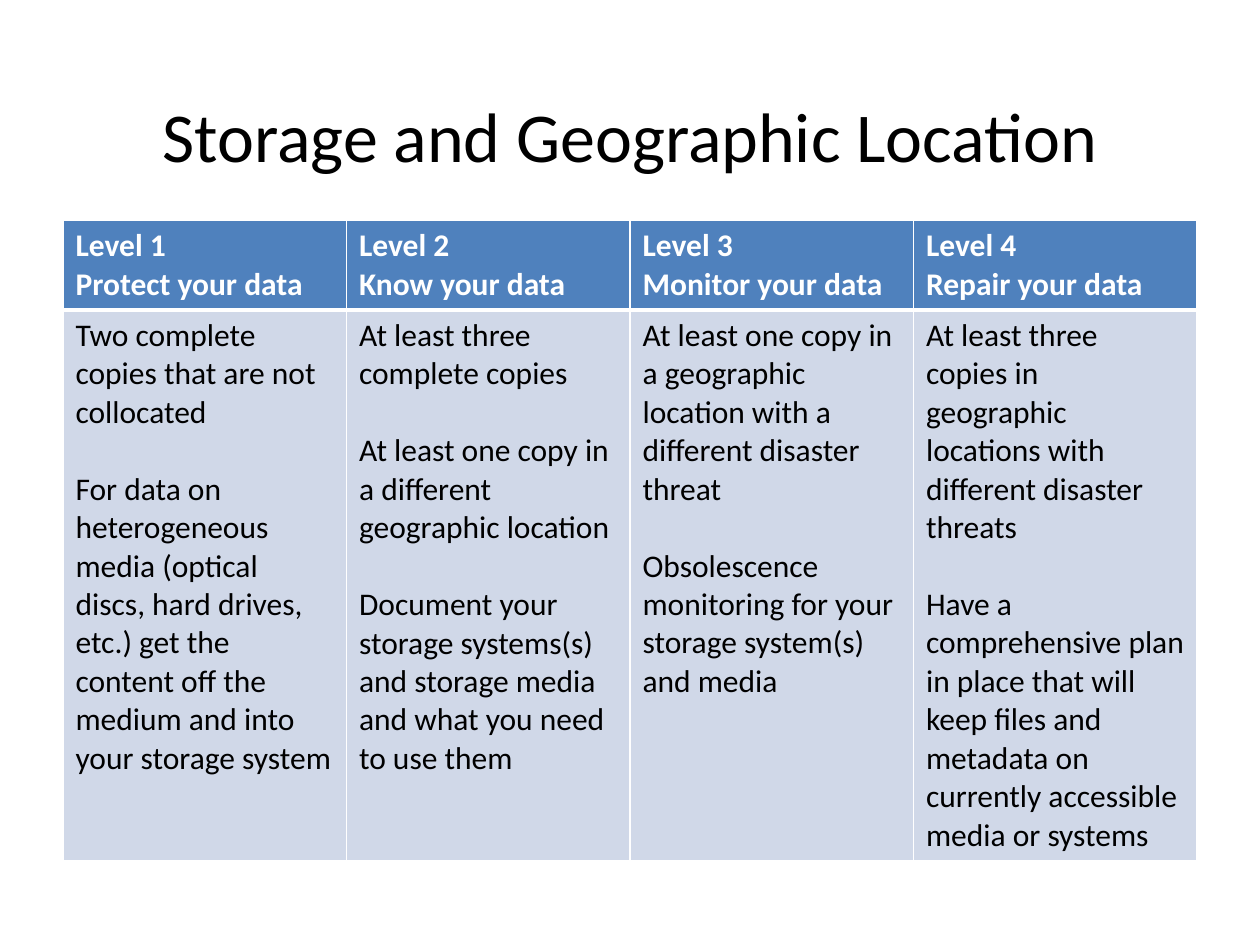
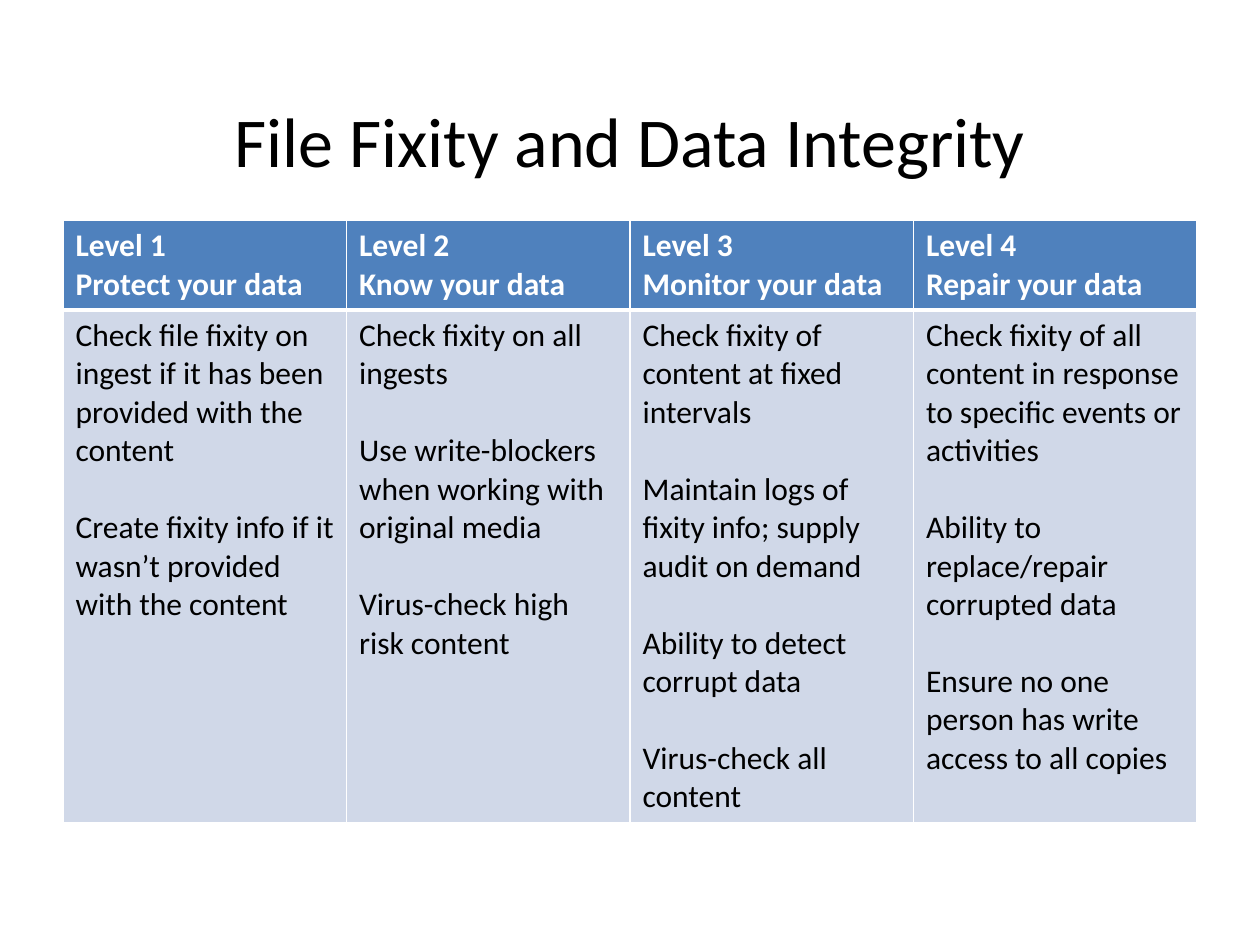
from lxml.etree import SubElement
from pptx import Presentation
from pptx.dml.color import RGBColor
from pptx.enum.text import MSO_ANCHOR, PP_ALIGN
from pptx.oxml.ns import qn
from pptx.util import Inches, Pt

LEVELS = [
    ("Level 1", "Protect your data"),
    ("Level 2", "Know your data"),
    ("Level 3", "Monitor your data"),
    ("Level 4", "Repair your data"),
]

TOPICS = [
    {
        "title": "Storage and Geographic Location",
        "title_top": 0.58,
        "requirements_height": 4.37,
        "requirements": [
            ("Two complete copies that are not collocated",
             "For data on heterogeneous media (optical discs, hard drives, etc.) "
             "get the content off the medium and into your storage system"),
            ("At least three complete copies",
             "At least one copy in a different geographic location",
             "Document your storage systems(s) and storage media "
             "and what you need to use them"),
            ("At least one copy in a geographic location with a different disaster threat",
             "Obsolescence monitoring for your storage system(s) and media"),
            ("At least three copies in geographic locations with different disaster threats",
             "Have a comprehensive plan in place that will keep files and metadata "
             "on currently accessible media or systems"),
        ],
    },
    {
        "title": "File Fixity and Data Integrity",
        "title_top": 0.67,
        "requirements_height": 4.06,
        "requirements": [
            ("Check file fixity on ingest if it has been provided with the content",
             "Create fixity info if it wasn’t provided with the content"),
            ("Check fixity on all ingests",
             "Use write-blockers when working with original media",
             "Virus-check high risk content"),
            ("Check fixity of content at fixed intervals",
             "Maintain logs of fixity info; supply audit on demand",
             "Ability to detect corrupt data",
             "Virus-check all content"),
            ("Check fixity of all content in response to specific events or activities",
             "Ability to replace/repair corrupted data",
             "Ensure no one person has write access to all copies"),
        ],
    },
]

COLORS = {"ink": "000000", "paper": "FFFFFF", "header": "4F81BD", "body": "D0D8E8"}
LEFT, WIDTH = 0.5, 9
TITLE_BOTTOM, GRID_TOP, HEADER_HEIGHT = 1.55, 1.75, 0.71

TITLE_FONT = {"name": "Calibri", "size": Pt(40), "bold": False}
HEADER_STYLE = {
    "fill": "header", "ink": "paper", "gap": Pt(0),
    "font": {"name": "Calibri", "size": Pt(18), "bold": True},
    "borders": {"lnL": 1, "lnR": 1, "lnT": 1, "lnB": 3},
}
BODY_STYLE = {
    "fill": "body", "ink": "ink", "gap": Pt(22),
    "font": {"name": "Calibri", "size": Pt(18), "bold": False},
    "borders": {"lnL": 1, "lnR": 1, "lnT": 3, "lnB": 1},
}


def color(key):
    return RGBColor.from_string(COLORS[key])


def format_font(font, values, ink):
    for attribute, value in values.items():
        setattr(font, attribute, value)
    font.color.rgb = color(ink)


def add_title(slide, topic):
    title = slide.shapes.title
    top = topic["title_top"]
    place = {"left": LEFT, "top": top, "width": WIDTH, "height": TITLE_BOTTOM - top}
    for attribute, inches in place.items():
        setattr(title, attribute, Inches(inches))
    title.text_frame.text = topic["title"]
    title.text_frame.vertical_anchor = MSO_ANCHOR.MIDDLE
    heading = title.text_frame.paragraphs[0]
    heading.alignment = PP_ALIGN.CENTER
    format_font(heading.runs[0].font, TITLE_FONT, "ink")


def add_borders(cell, widths):
    properties = cell._tc.get_or_add_tcPr()
    for side, points in widths.items():
        line = SubElement(properties, qn(f"a:{side}"), w=str(Pt(points)))
        fill = SubElement(line, qn("a:solidFill"))
        SubElement(fill, qn("a:srgbClr"), val=COLORS["paper"])


def fill_cell(cell, lines, style):
    add_borders(cell, style["borders"])
    cell.fill.solid()
    cell.fill.fore_color.rgb = color(style["fill"])
    cell.text = "\n".join(lines)
    for index, paragraph in enumerate(cell.text_frame.paragraphs):
        if index:
            paragraph.space_before = style["gap"]
        format_font(paragraph.runs[0].font, style["font"], style["ink"])


def add_level_grid(slide, topic):
    heights = HEADER_HEIGHT, topic["requirements_height"]
    grid = slide.shapes.add_table(
        len(heights), len(LEVELS), Inches(LEFT), Inches(GRID_TOP),
        Inches(WIDTH), Inches(sum(heights))).table
    for row, height in zip(grid.rows, heights):
        row.height = Inches(height)
    for column, (level, requirements) in enumerate(zip(LEVELS, topic["requirements"])):
        grid.columns[column].width = Inches(WIDTH / len(LEVELS))
        fill_cell(grid.cell(0, column), level, HEADER_STYLE)
        fill_cell(grid.cell(1, column), requirements, BODY_STYLE)


def main():
    deck = Presentation()
    deck.slide_width, deck.slide_height = Inches(10), Inches(7.5)
    title_only = deck.slide_layouts.get_by_name("Title Only")
    for topic in TOPICS:
        slide = deck.slides.add_slide(title_only)
        add_title(slide, topic)
        add_level_grid(slide, topic)
    deck.save("out.pptx")


if __name__ == "__main__":
    main()
